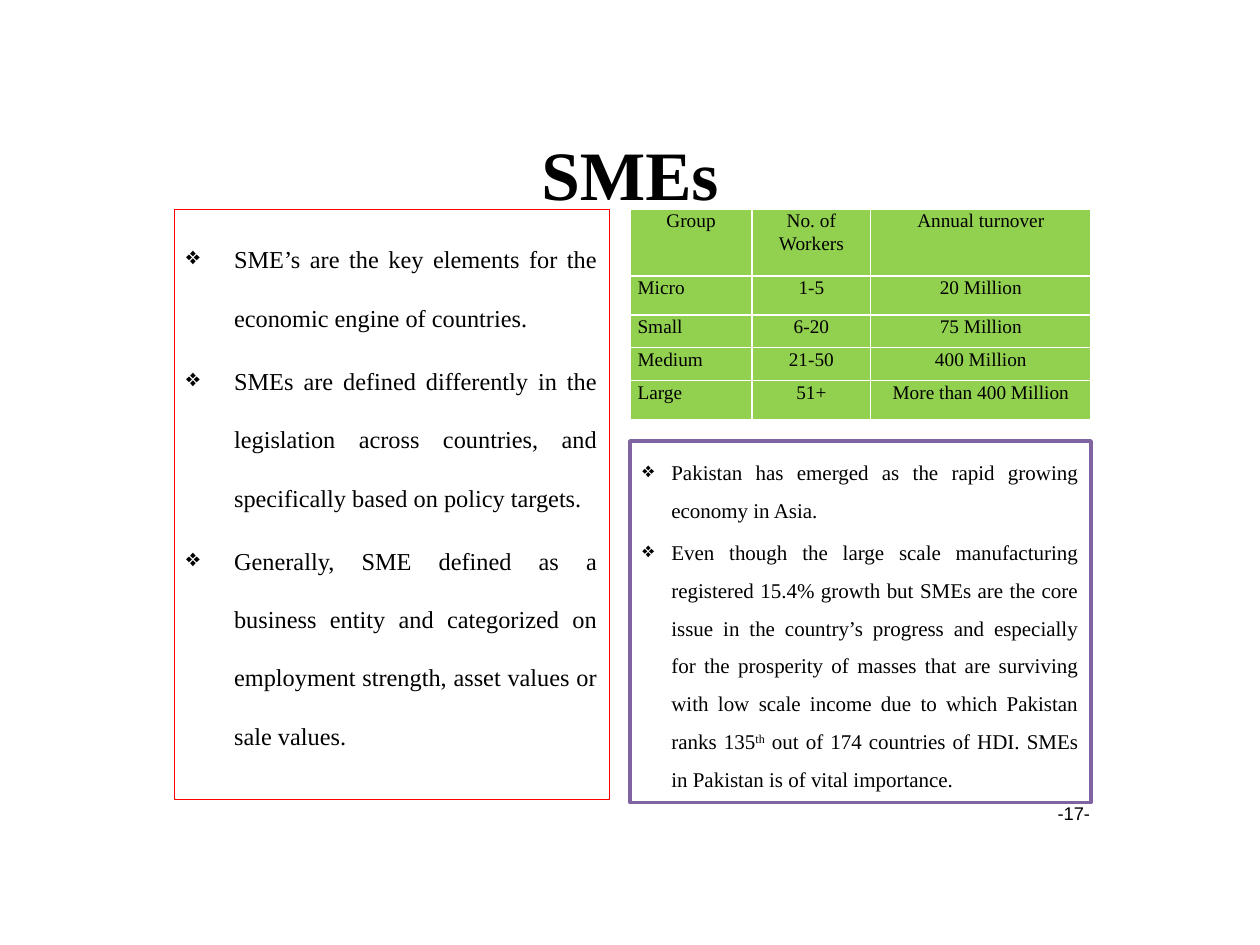
"""Build the slide that defines SMEs by group, with notes on Pakistan."""
from lxml.etree import SubElement
from pptx import Presentation
from pptx.dml.color import RGBColor
from pptx.enum.shapes import MSO_SHAPE as Shape
from pptx.enum.text import MSO_ANCHOR as Anchor, PP_ALIGN as Align
from pptx.oxml.ns import qn
from pptx.util import Inches, Pt

BLACK = RGBColor(0x00, 0x00, 0x00)
WHITE = RGBColor(0xFF, 0xFF, 0xFF)
RED = RGBColor(0xFF, 0x00, 0x00)
PURPLE = RGBColor(0x80, 0x64, 0xA2)
GREEN = RGBColor(0x92, 0xD0, 0x50)
SERIF = "Times New Roman"

DEFINITIONS = [
    "SME’s are the key elements for the economic engine of countries.",
    "SMEs are defined differently in the legislation across countries, and "
    "specifically based on policy targets.",
    "Generally, SME defined as a business entity and categorized on employment "
    "strength, asset values or sale values.",
]
PAKISTAN_NOTES = [
    "Pakistan has emerged as the rapid growing economy in Asia.",
    "Even though the large scale manufacturing registered 15.4% growth but SMEs "
    "are the core issue in the country’s progress and especially for the "
    "prosperity of masses that are surviving with low scale income due to which "
    "Pakistan ranks 135^th^ out of 174 countries of HDI. SMEs in Pakistan is of "
    "vital importance.",
]
GROUPS = [
    ("Group", "No. of Workers", "Annual turnover"),
    ("Micro", "1-5", "20 Million"),
    ("Small", "6-20", "75 Million"),
    ("Medium", "21-50", "400 Million"),
    ("Large", "51+", "More than 400 Million"),
]
COLUMN_WIDTHS = [0.97, 0.94, 1.75]
ROW_HEIGHTS = [0.53, 0.31, 0.26, 0.26, 0.31]


def write_text(para, text, size, font=SERIF, bold=False, align=Align.LEFT, spacing=None):
    """Fill a paragraph; text between carets is raised."""
    para.alignment = align
    para.line_spacing = spacing
    for index, part in enumerate(text.split("^")):
        span = para.add_run()
        span.text = part
        span.font.size = Pt(size)
        span.font.name = font
        span.font.bold = bold
        span.font.color.rgb = BLACK
        if index % 2:
            span.font._element.set("baseline", "30000")


def add_bullet(para, indent):
    """Give a paragraph a diamond bullet with a hanging indent."""
    properties = para._p.get_or_add_pPr()
    properties.set("marL", str(Inches(indent)))
    properties.set("indent", str(-Inches(indent)))
    SubElement(properties, qn("a:buChar"), char="❖")


def add_label(page, place, text, **style):
    """Add a vertically centred text box with one line."""
    box = page.shapes.add_textbox(*map(Inches, place))
    box.text_frame.word_wrap = True
    box.text_frame.vertical_anchor = Anchor.MIDDLE
    write_text(box.text_frame.paragraphs[0], text, **style)


def add_bullet_box(page, place, items, line, width, size, spacing, indent, fill=None):
    """Add an outlined rectangle that holds a justified bullet list."""
    box = page.shapes.add_shape(Shape.RECTANGLE, *map(Inches, place))
    box.shadow.inherit = False
    if fill is None:
        box.fill.background()
    else:
        box.fill.solid()
        box.fill.fore_color.rgb = fill
    box.line.color.rgb = line
    box.line.width = Pt(width)
    frame = box.text_frame
    frame.word_wrap = True
    frame.vertical_anchor = Anchor.TOP
    for index, item in enumerate(items):
        para = frame.add_paragraph() if index else frame.paragraphs[0]
        write_text(para, item, size, align=Align.JUSTIFY, spacing=spacing)
        para.space_before = Pt(round(size * 0.2, 1))
        add_bullet(para, indent)


def add_borders(cell, color, width):
    """Draw all four borders of a table cell."""
    properties = cell._tc.get_or_add_tcPr()
    for side in "LRTB":
        border = SubElement(properties, qn(f"a:ln{side}"), w=str(Pt(width)))
        fill = SubElement(border, qn("a:solidFill"))
        SubElement(fill, qn("a:srgbClr"), val=str(color))


def add_group_table(page, place):
    """Add the table of business groups."""
    table = page.shapes.add_table(
        len(GROUPS), len(COLUMN_WIDTHS), *map(Inches, place)).table
    for column, width in zip(table.columns, COLUMN_WIDTHS):
        column.width = Inches(width)
    for row, height, values in zip(table.rows, ROW_HEIGHTS, GROUPS):
        row.height = Inches(height)
        for index, (cell, value) in enumerate(zip(row.cells, values)):
            cell.margin_left = cell.margin_right = Inches(0.06)
            cell.margin_top = cell.margin_bottom = 0
            add_borders(cell, WHITE, 1)
            cell.fill.solid()
            cell.fill.fore_color.rgb = GREEN
            is_name = index == 0 and values is not GROUPS[0]
            write_text(cell.text_frame.paragraphs[0], value, 11, spacing=1.07,
                       align=Align.JUSTIFY if is_name else Align.CENTER)


def main():
    """Build and save the deck."""
    deck = Presentation()
    deck.slide_width, deck.slide_height = Inches(10), Inches(7.5)
    page = deck.slides.add_slide(deck.slide_layouts[6])
    add_label(page, (0.69, 1.24, 8.62, 0.26), "SMEs",
              size=39.6, bold=True, align=Align.CENTER)
    add_bullet_box(page, (1.38, 1.66, 3.46, 4.68), DEFINITIONS, line=RED,
                   width=0.25, size=13.9, spacing=2.0, indent=0.38)
    add_group_table(page, (5, 1.66, 3.66, 1.68))
    add_bullet_box(page, (5, 3.5, 3.66, 2.87), PAKISTAN_NOTES, line=PURPLE,
                   width=2, size=12, spacing=1.5, indent=0.23, fill=WHITE)
    add_label(page, (7.4, 6.34, 1.35, 0.22), "-17-",
              size=10.5, font="Arial", align=Align.RIGHT)
    deck.save("out.pptx")


if __name__ == "__main__":
    main()
